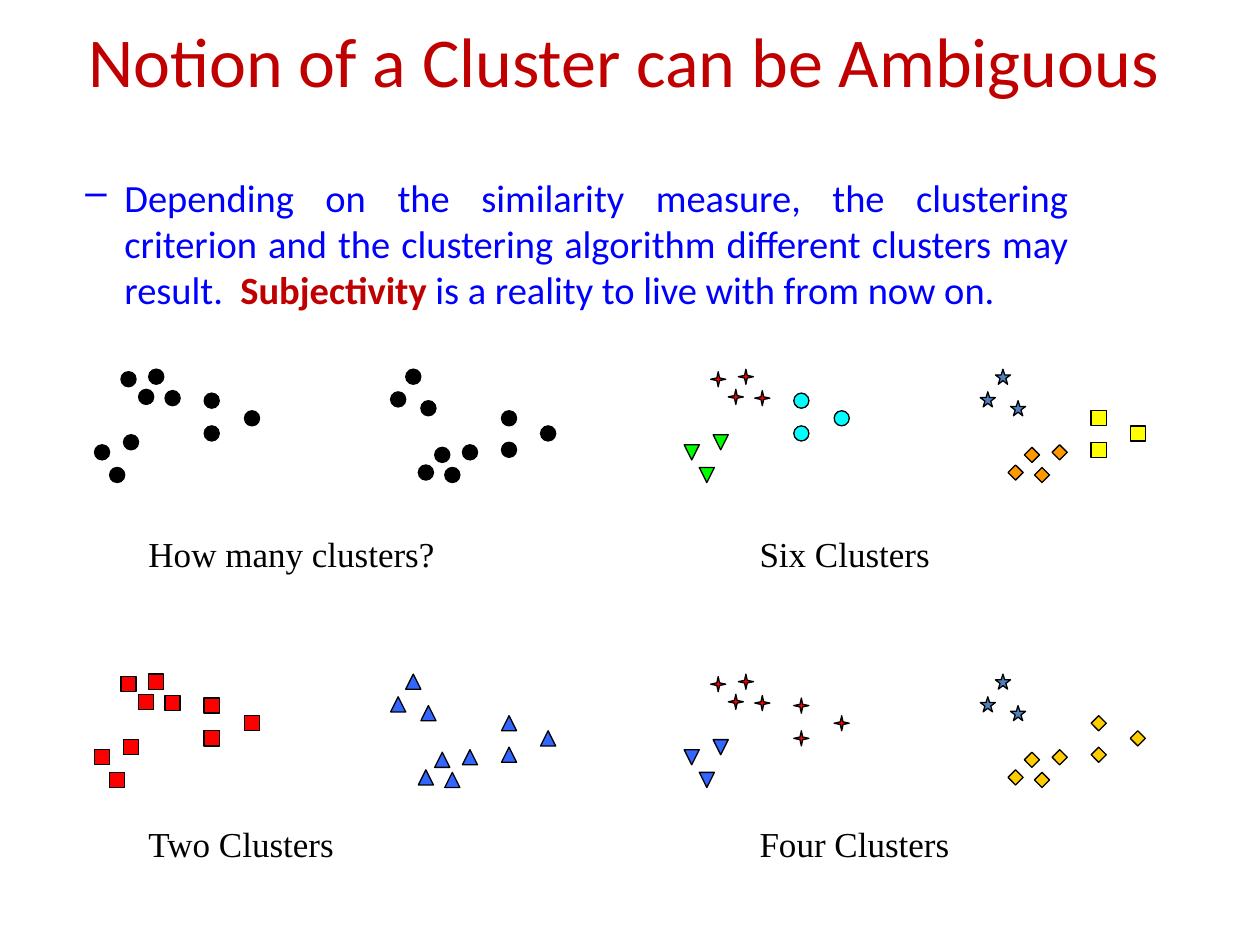
from lxml import etree
from pptx import Presentation
from pptx import util as u
from pptx.dml.color import RGBColor
from pptx.enum import shapes, text
from pptx.oxml.ns import qn

COLORS = {
    "title": "C00000", "body": "0000FF", "black": "000000", "red": "FF0000",
    "blue": "3366FF", "steel": "4F81BD", "gold": "FFCC00", "orange": "FF9900",
    "yellow": "FFFF00", "green": "00FF00", "cyan": "00FFFF",
}
KIND = shapes.MSO_SHAPE
MARK = 0.12
PANEL_DX, PANEL_DY = 4.68, 2.42

# Top-left corners of the marks in the first panel
POINTS = {
    "left top": [(1.31, 3.1), (0.96, 2.95), (1.18, 2.93), (1.1, 3.09)],
    "left bottom": [(0.98, 3.45), (0.75, 3.53), (0.87, 3.71)],
    "left side": [(1.62, 3.12), (1.94, 3.26), (1.62, 3.38)],
    "right bottom": [(3.67, 3.53), (3.32, 3.69), (3.53, 3.71), (3.45, 3.55)],
    "right top": [(3.34, 3.18), (3.1, 3.11), (3.22, 2.93)],
    "right side": [(3.98, 3.51), (4.29, 3.38), (3.98, 3.26)],
}
DOT = (KIND.OVAL, "black")
SQUARE = (KIND.RECTANGLE, "red")
TRIANGLE = (KIND.ISOSCELES_TRIANGLE, "blue")
SPARK = (KIND.STAR_4_POINT, "red")
STAR = (KIND.STAR_5_POINT, "steel")
GOLD_DIAMOND = (KIND.DIAMOND, "gold")

# Label, column, row, label top, and one mark style per point group
PANELS = [
    ("How many clusters?", 0, 0, 4.18, [DOT] * 6),
    ("Six Clusters", 1, 0, 4.18,
     [SPARK, (KIND.FLOWCHART_MERGE, "green"), (KIND.OVAL, "cyan"),
      (KIND.DIAMOND, "orange"), STAR, (KIND.RECTANGLE, "yellow")]),
    ("Two Clusters", 0, 1, 6.48, [SQUARE] * 3 + [TRIANGLE] * 3),
    ("Four Clusters", 1, 1, 6.48,
     [SPARK, (KIND.FLOWCHART_MERGE, "blue"), SPARK, GOLD_DIAMOND, STAR, GOLD_DIAMOND]),
]


def rgb(name):
    return RGBColor.from_string(COLORS[name])


def add_span(para, words, color, **formats):
    span = para.add_run()
    span.text = words
    span.font.color.rgb = rgb(color)
    for name, value in formats.items():
        setattr(span.font, name, value)


deck = Presentation()
deck.slide_width, deck.slide_height = u.Inches(10), u.Inches(7.5)
page = deck.slides.add_slide(deck.slide_layouts[5])

title = page.shapes.title
title.left, title.top = u.Inches(0.42), u.Inches(0.17)
title.width, title.height = u.Inches(9.06), u.Inches(0.6)
title.text_frame.vertical_anchor = text.MSO_ANCHOR.MIDDLE
para = title.text_frame.paragraphs[0]
para.alignment = text.PP_ALIGN.CENTER
add_span(para, "Notion of a Cluster can be Ambiguous", "title",
         size=u.Pt(40), name="Calibri")

for label, column, row, label_top, styles in PANELS:
    panel = page.shapes.add_group_shape()
    dx, dy = column * PANEL_DX, row * PANEL_DY
    for points, (kind, color) in zip(POINTS.values(), styles):
        for x, y in points:
            mark = panel.shapes.add_shape(kind, u.Inches(x + dx), u.Inches(y + dy),
                                          u.Inches(MARK), u.Inches(MARK))
            mark.shadow.inherit = False
            mark.fill.solid()
            mark.fill.fore_color.rgb = rgb(color)
            mark.line.color.rgb = rgb("black")
            mark.line.width = u.Pt(0.75)
    box = panel.shapes.add_textbox(u.Inches(1.08 + column * 4.85), u.Inches(label_top),
                                   u.Inches(2.5), u.Inches(0.44))
    box.text_frame.word_wrap = True
    box.text_frame.auto_size = text.MSO_AUTO_SIZE.SHAPE_TO_FIT_TEXT
    add_span(box.text_frame.paragraphs[0], label, "black",
             size=u.Pt(20), name="Times New Roman")

body = page.shapes.add_textbox(u.Inches(0.08), u.Inches(1.33), u.Inches(8.5), u.Inches(1.25))
body.text_frame.word_wrap = True
para = body.text_frame.paragraphs[0]
para.level = 1
para.alignment = text.PP_ALIGN.JUSTIFY
props = para._p.get_or_add_pPr()
props.set("marL", str(u.Inches(0.81)))
props.set("indent", str(u.Inches(-0.31)))
bullet_color = etree.SubElement(props, qn("a:buClr"))
etree.SubElement(bullet_color, qn("a:srgbClr"), val=COLORS["body"])
etree.SubElement(props, qn("a:buChar"), char="–")
body_format = {"size": u.Pt(22), "name": "Calibri"}
add_span(para, "Depending on the similarity measure, the clustering criterion and the "
         "clustering algorithm different clusters may result.  ", "body", **body_format)
add_span(para, "Subjectivity", "title", bold=True, **body_format)
add_span(para, " is a reality to live with from now on.", "body", **body_format)

deck.save("out.pptx")
